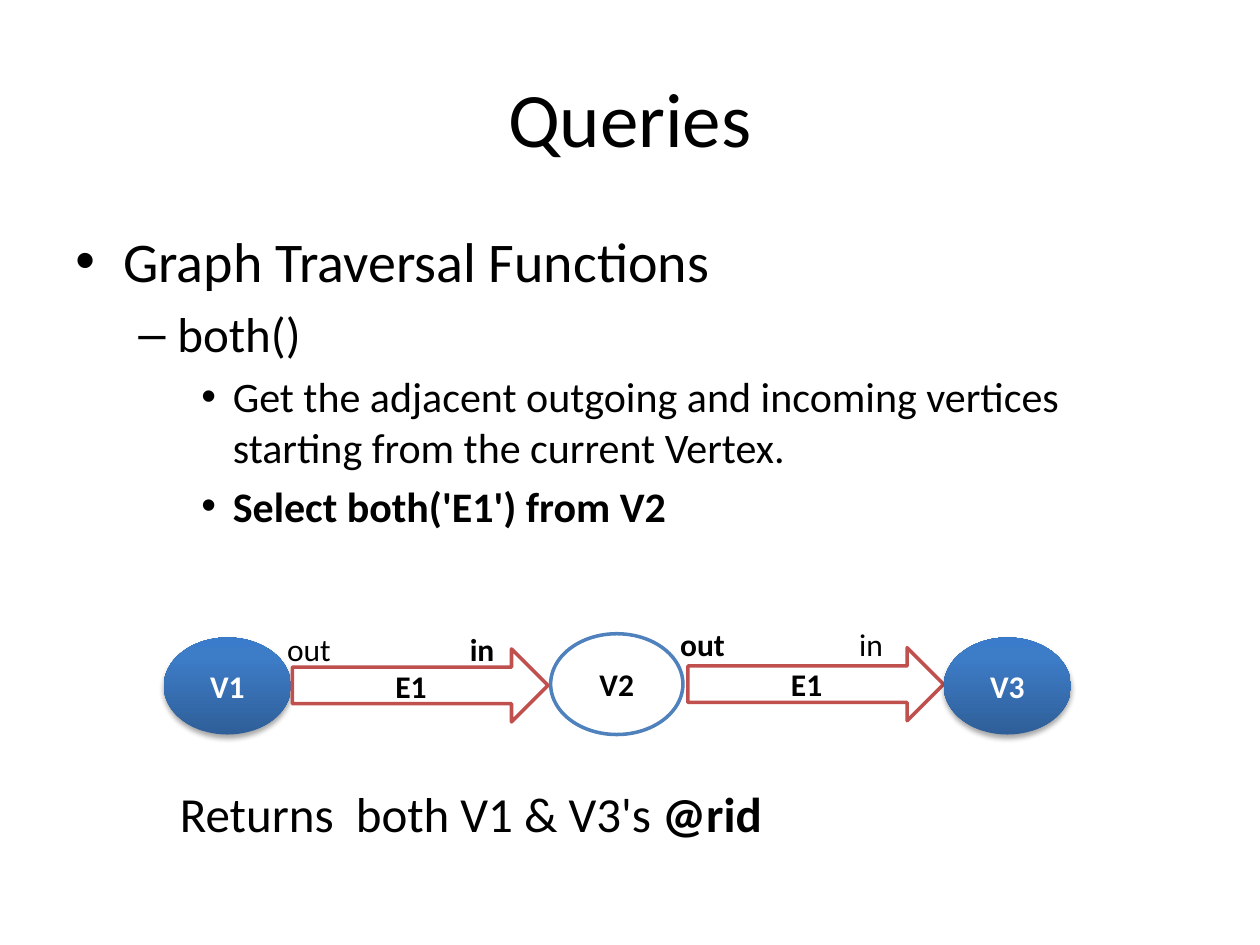
from lxml import etree
from pptx import Presentation
from pptx.dml.color import RGBColor
from pptx.enum import shapes, text
from pptx.oxml import parse_xml
from pptx.oxml.ns import nsdecls, qn
from pptx.util import Inches, Pt

BLACK, WHITE, BLUE, RED = "000000", "FFFFFF", "4F81BD", "C0504D"
GRADIENT = [(0, "2F5F99"), (80, "3D7CC7"), (100, "3A7CCB")]


def rgb(color):
    return RGBColor.from_string(color)


def add_run(paragraph, words, size, bold=False, color=BLACK):
    run = paragraph.add_run()
    run.text = words
    run.font.name = "Calibri"
    run.font.size = Pt(size)
    run.font.bold = bold
    run.font.color.rgb = rgb(color)


deck = Presentation()
deck.slide_width, deck.slide_height = Inches(10), Inches(7.5)
slide = deck.slides.add_slide(deck.slide_layouts[6])

# Title
title = slide.shapes.add_textbox(Inches(0.5), Inches(0.3), Inches(9), Inches(1.25)).text_frame
title.word_wrap = True
title.vertical_anchor = text.MSO_ANCHOR.MIDDLE
title.paragraphs[0].alignment = text.PP_ALIGN.CENTER
add_run(title.paragraphs[0], "Queries", 44)

# Bulleted outline: one style per level (size, indent, hanging, bullet)
level_styles = [(32, 0.38, 0.38, "•"), (28, 0.81, 0.31, "–"), (24, 1.25, 0.25, "•")]
outline_points = [
    (0, "Graph Traversal Functions", False),
    (1, "both()", False),
    (2, "Get the adjacent outgoing and incoming vertices starting from the current Vertex.", False),
    (2, "Select both('E1') from V2", True),
]
outline = slide.shapes.add_textbox(Inches(0.5), Inches(1.75), Inches(9), Inches(5.5)).text_frame
outline.word_wrap = True
for index, (level, words, bold) in enumerate(outline_points):
    size, indent, hanging, bullet = level_styles[level]
    point = outline.add_paragraph() if index else outline.paragraphs[0]
    point.level = level
    point.space_before = Pt(size * 0.2)
    add_run(point, words, size, bold)
    properties = point._p.get_or_add_pPr()
    properties.set("marL", str(Inches(indent)))
    properties.set("indent", str(-Inches(hanging)))
    etree.SubElement(properties, qn("a:buFont")).set("typeface", "Arial")
    etree.SubElement(properties, qn("a:buChar")).set("char", bullet)

# Graph: V1 -E1-> V2 -E1-> V3; a vertex without a line colour is shaded
OVAL, ARROW = shapes.MSO_SHAPE.OVAL, shapes.MSO_SHAPE.RIGHT_ARROW
graph_parts = [
    (OVAL, "V1", 1.3, 5.06, 1.01, 0.77, None),
    (OVAL, "V2", 4.37, 5.03, 1.05, 0.8, BLUE),
    (ARROW, "E1", 2.32, 5.15, 2.03, 0.58, RED),
    (ARROW, "E1", 5.46, 5.14, 2.03, 0.58, RED),
    (OVAL, "V3", 7.49, 5.06, 1.01, 0.77, None),
]
for preset, name, left, top, width, height, line_color in graph_parts:
    part = slide.shapes.add_shape(preset, Inches(left), Inches(top), Inches(width), Inches(height))
    part.shadow.inherit = False
    if line_color:
        part.fill.solid()
        part.fill.fore_color.rgb = rgb(WHITE)
        part.line.color.rgb = rgb(line_color)
        part.line.width = Pt(2)
    else:
        part.line.fill.background()
        part.fill.gradient()
        part.fill.gradient_angle = 90
        stops = part._element.spPr.find(qn("a:gradFill")).find(qn("a:gsLst"))
        for stop in list(stops):
            stops.remove(stop)
        for position, color in GRADIENT:
            stop = etree.SubElement(stops, qn("a:gs"), pos=str(position * 1000))
            etree.SubElement(stop, qn("a:srgbClr"), val=color)
        part._element.spPr.find(qn("a:effectLst")).append(parse_xml(
            f'<a:outerShdw {nsdecls("a")} blurRad="{Pt(3.1)}" dist="{Pt(1.8)}" dir="5400000" '
            'rotWithShape="0"><a:srgbClr val="000000"><a:alpha val="35000"/></a:srgbClr></a:outerShdw>'))
    label = part.text_frame
    label.word_wrap = True
    label.vertical_anchor = text.MSO_ANCHOR.MIDDLE
    label.paragraphs[0].alignment = text.PP_ALIGN.CENTER
    add_run(label.paragraphs[0], name, 18, True, BLACK if line_color else WHITE)

# Edge ends and the query result
captions = [
    (1.33, 6.17, 5.42, 0.57, 28, [("Returns  both V1 & V3's ", False), ("@rid", True)]),
    (3.63, 4.95, 0.59, 0.4, 18, [("in", True)]),
    (2.18, 4.95, 0.83, 0.4, 18, [("out", False)]),
    (6.72, 4.91, 0.59, 0.4, 18, [("in", False)]),
    (5.3, 4.91, 0.83, 0.4, 18, [("out", True)]),
]
for left, top, width, height, size, runs in captions:
    caption = slide.shapes.add_textbox(
        Inches(left), Inches(top), Inches(width), Inches(height)).text_frame
    caption.word_wrap = True
    caption.auto_size = text.MSO_AUTO_SIZE.SHAPE_TO_FIT_TEXT
    for words, bold in runs:
        add_run(caption.paragraphs[0], words, size, bold)

deck.save("out.pptx")
